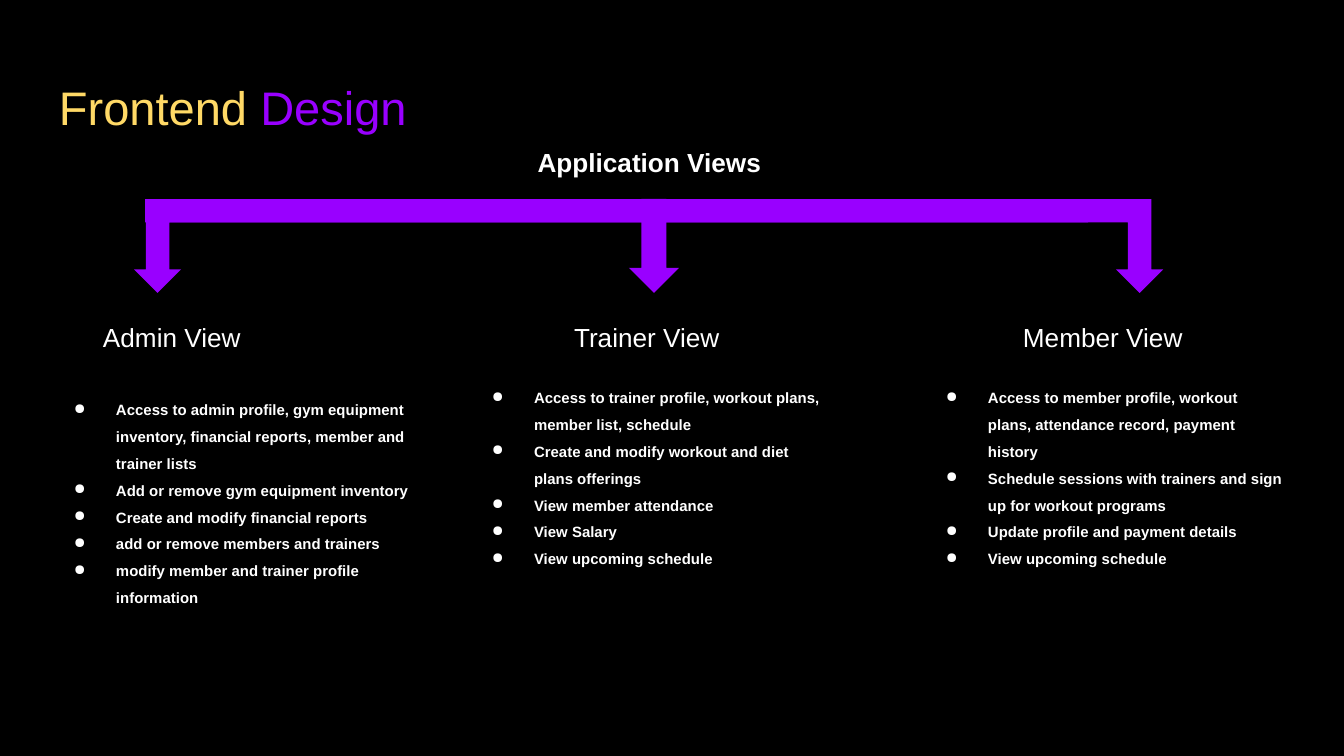
import pptx
import pptx.dml.color
import pptx.enum.shapes
import pptx.enum.text
import pptx.oxml
import pptx.oxml.ns
import pptx.util

SHAPE = pptx.enum.shapes.MSO_SHAPE
ALIGN = pptx.enum.text.PP_ALIGN
PX = 914400 / 134.4
FONT = "Arial"
INSET = 13
COLORS = {"black": "000000", "white": "FFFFFF", "yellow": "FFD966", "purple": "9900FF"}

TITLE = [("Frontend ", "yellow"), ("Design", "purple")]
HEADING = "Application Views"
HEADING_BOX = (62, 133, 1175, 59)
LABEL_BOX = (62, 308, 1175, 59)

# name, label x, list box, top inset, list items
VIEWS = [
    ("Admin View", 103, (36, 367, 390, 345), 25, [
        "Access to admin profile, gym equipment inventory, financial reports, member and trainer lists",
        "Add or remove gym equipment inventory",
        "Create and modify financial reports",
        "add or remove members and trainers",
        "modify member and trainer profile information",
    ]),
    ("Trainer View", 574, (454, 367, 390, 345), INSET, [
        "Access to trainer profile, workout plans, member list, schedule",
        "Create and modify workout and diet plans offerings",
        "View member attendance",
        "View Salary",
        "View upcoming schedule",
    ]),
    ("Member View", 1023, (908, 367, 390, 356), INSET, [
        "Access to member profile, workout plans, attendance record, payment history",
        "Schedule sessions with trainers and sign up for workout programs",
        "Update profile and payment details",
        "View upcoming schedule",
    ]),
]

# preset, box, rotation, mirrored
ARROWS = [
    (SHAPE.BENT_UP_ARROW, (134, 199, 954, 94), 180, False),
    (SHAPE.BENT_UP_ARROW, (145, 199, 1018, 94), 180, True),
    (SHAPE.DOWN_ARROW, (629, 199, 50, 94), 0, False),
]


def px(n):
    return pptx.util.Emu(round(n * PX))


def rgb(name):
    return pptx.dml.color.RGBColor.from_string(COLORS[name])


def add_run(p, text, size, color="white", bold=False):
    r = p.add_run()
    r.text = text
    r.font.name = FONT
    r.font.size = pptx.util.Pt(size)
    r.font.bold = bold
    r.font.color.rgb = rgb(color)


def set_frame(sp, top=INSET):
    tf = sp.text_frame
    tf.word_wrap = True
    tf.vertical_anchor = pptx.enum.text.MSO_ANCHOR.TOP
    tf.margin_left = tf.margin_right = tf.margin_bottom = px(INSET)
    tf.margin_top = px(top)
    return tf


def add_text(s, box):
    return set_frame(s.shapes.add_textbox(*map(px, box))).paragraphs[0]


def add_shape(s, preset, box, color):
    sp = s.shapes.add_shape(preset, *map(px, box))
    sp.shadow.inherit = False
    sp.fill.solid()
    sp.fill.fore_color.rgb = rgb(color)
    sp.line.fill.background()
    return sp


def append_xml(p, xml):
    ns = pptx.oxml.ns.nsdecls("a")
    p._p.get_or_add_pPr().append(pptx.oxml.parse_xml(xml.replace("NS", ns, 1)))


def add_list(s, box, top, items):
    tf = set_frame(add_shape(s, SHAPE.RECTANGLE, box, "black"), top)
    for i, item in enumerate(items):
        p = tf.paragraphs[0] if i == 0 else tf.add_paragraph()
        p.alignment = ALIGN.LEFT
        p.line_spacing = 1.5
        pPr = p._p.get_or_add_pPr()
        pPr.set("marL", str(px(67)))
        pPr.set("indent", str(px(-42)))
        append_xml(p, f'<a:buClr NS><a:srgbClr val="{COLORS["white"]}"/></a:buClr>')
        append_xml(p, '<a:buChar NS char="●"/>')
        add_run(p, item, 8, bold=True)


def main():
    prs = pptx.Presentation()
    prs.slide_width, prs.slide_height = px(1344), px(756)
    s = prs.slides.add_slide(prs.slide_layouts[6])
    s.background.fill.solid()
    s.background.fill.fore_color.rgb = rgb("black")

    p = add_text(s, (46, 66, 1253, 85))
    for text, color in TITLE:
        add_run(p, text, 25.2, color)

    p = add_text(s, HEADING_BOX)
    p.alignment = ALIGN.CENTER
    add_run(p, HEADING, 14, bold=True)

    for preset, box, rotation, mirrored in ARROWS:
        sp = add_shape(s, preset, box, "purple")
        sp.rotation = rotation
        if mirrored:
            sp._element.spPr.xfrm.set("flipH", "1")

    # One line of labels, each on its own tab stop
    p = add_text(s, LABEL_BOX)
    stops = [px(x - LABEL_BOX[0] - INSET) for _, x, *_ in VIEWS]
    tabs = "".join(f'<a:tab pos="{stop}" algn="l"/>' for stop in stops)
    append_xml(p, f"<a:tabLst NS>{tabs}</a:tabLst>")
    for name, *_ in VIEWS:
        add_run(p, "\t" + name, 14)

    for _, _, box, top, items in VIEWS:
        add_list(s, box, top, items)

    prs.save("out.pptx")


if __name__ == "__main__":
    main()
